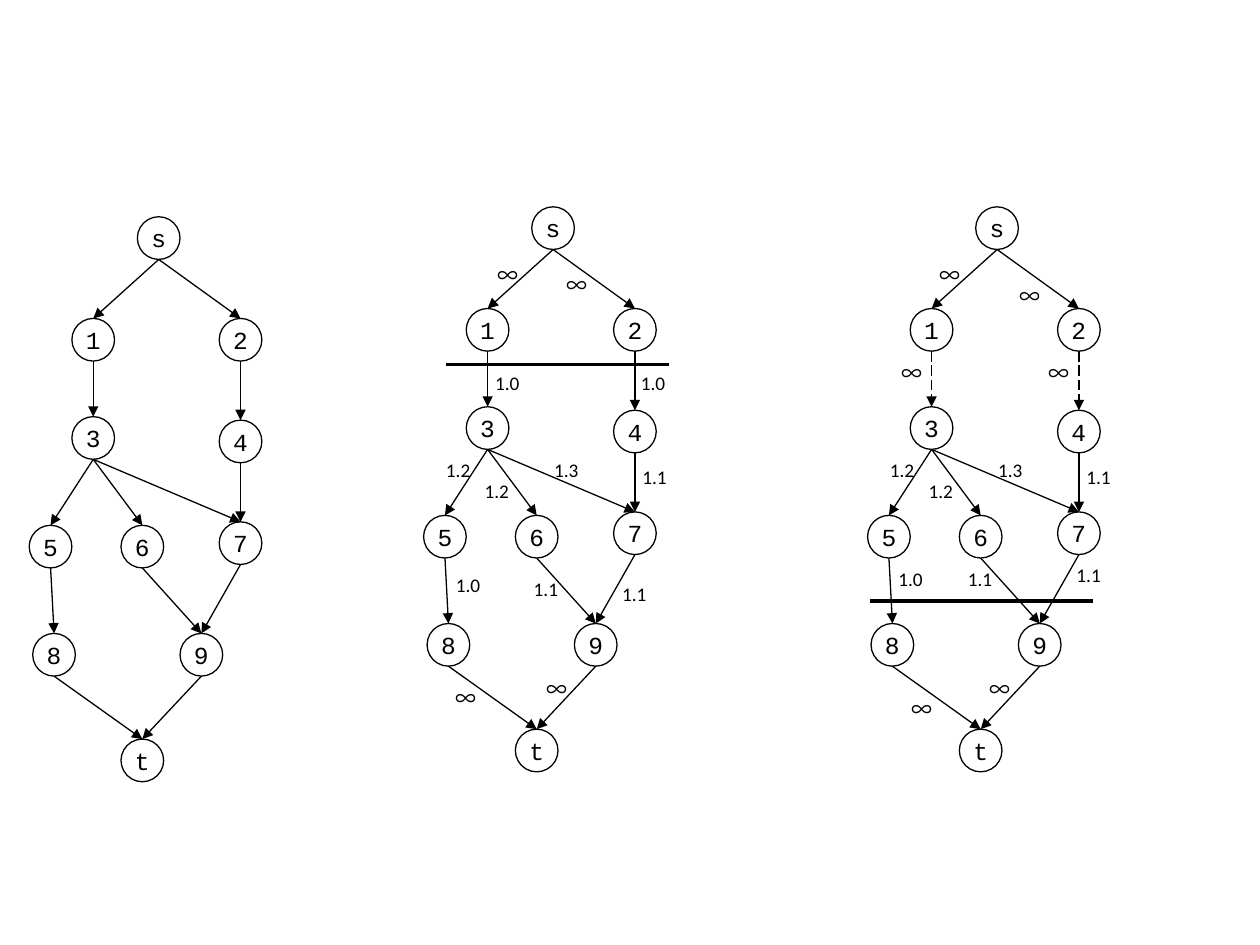
from dataclasses import dataclass

from pptx import Presentation, util as u
from pptx.dml.color import RGBColor
from pptx.enum import dml, shapes, text
from pptx.oxml.ns import qn

INK = "000000"
SIZE = 0.86  # node diameter, cm

# Node places: centre x and top y in cm, measured from node s
NODES = {
    "s": (0, 0),
    "1": (-1.32, 2.05), "2": (1.65, 2.05),
    "3": (-1.32, 4.03), "4": (1.65, 4.1),
    "5": (-2.18, 6.22), "6": (-0.33, 6.22), "7": (1.65, 6.15),
    "8": (-2.11, 8.4), "9": (0.86, 8.4),
    "t": (-0.33, 10.53),
}
EDGES = "s1 s2 13 24 35 36 37 47 58 69 79 8t 9t".split()


@dataclass
class Label:
    text: str
    x: float
    y: float


@dataclass
class Cut:
    x: float
    y: float
    width: float = 4.5


@dataclass
class Graph:
    x: float
    y: float
    labels: tuple = ()
    cut: Cut | None = None
    dashed: tuple = ()


# Weights that both cut graphs share
SHARED = (
    Label("1.1", 1.55, 5.08), Label("1.2", -2.41, 4.95),
    Label("1.2", -1.63, 5.36), Label("1.3", -0.23, 4.95),
)
GRAPHS = (
    Graph(3.2, 4.37),
    Graph(11.15, 4.17, SHARED + (
        Label("1.0", -1.42, 3.18), Label("1.0", 1.52, 3.18),
        Label("1.1", 1.14, 7.44), Label("1.1", -0.64, 7.34),
        Label("1.0", -2.21, 7.26),
        Label("∞", -1.37, 0.99), Label("∞", 0.03, 1.19),
        Label("∞", -2.21, 9.53), Label("∞", -0.38, 9.35),
    ), Cut(-2.16, 3.18)),
    Graph(20.1, 4.17, SHARED + (
        Label("1.1", 1.35, 7.06), Label("1.1", -0.84, 7.14),
        Label("1.0", -2.24, 7.14),
        Label("∞", -2.18, 2.97), Label("∞", 0.79, 2.97),
        Label("∞", -1.4, 0.99), Label("∞", 0.2, 1.42),
        Label("∞", -1.98, 9.75), Label("∞", -0.41, 9.35),
    ), Cut(-2.57, 7.95), ("13", "24")),
)


def paint(color, value: str) -> None:
    color.rgb = RGBColor.from_string(value)


def write(shape, words: str, font: str, size: float) -> None:
    frame = shape.text_frame
    frame.text = words
    frame.word_wrap = False
    run = frame.paragraphs[0].runs[0]
    run.font.name = font
    run.font.size = u.Pt(size)
    paint(run.font.color, INK)
    # The infinity sign can be drawn with the East Asian font
    east = run.font._element.makeelement(qn("a:ea"), {"typeface": font})
    run.font._element.append(east)


def draw_line(slide, x1: float, y1: float, x2: float, y2: float, width: float):
    line = slide.shapes.add_connector(
        shapes.MSO_CONNECTOR.STRAIGHT, u.Cm(x1), u.Cm(y1), u.Cm(x2), u.Cm(y2))
    line.line.width = u.Pt(width)
    paint(line.line.color, INK)
    props = line._element.spPr
    props.append(props.makeelement(qn("a:effectLst"), {}))
    return line


def draw_edge(slide, graph: Graph, edge: str) -> None:
    (x1, y1), (x2, y2) = (NODES[name] for name in edge)
    arrow = draw_line(slide, graph.x + x1, graph.y + y1 + SIZE,
                      graph.x + x2, graph.y + y2, 0.75)
    if edge in graph.dashed:
        arrow.line.dash_style = dml.MSO_LINE.LONG_DASH
    ln = arrow.line._get_or_add_ln()
    ln.append(ln.makeelement(qn("a:tailEnd"), {"type": "triangle"}))


def draw_node(slide, graph: Graph, name: str) -> None:
    x, y = NODES[name]
    node = slide.shapes.add_shape(
        shapes.MSO_SHAPE.OVAL, u.Cm(graph.x + x - SIZE / 2),
        u.Cm(graph.y + y), u.Cm(SIZE), u.Cm(SIZE))
    node.shadow.inherit = False
    node.fill.background()
    node.line.width = u.Pt(0.75)
    paint(node.line.color, INK)
    write(node, name, "Courier New", 14)
    node.text_frame.vertical_anchor = text.MSO_ANCHOR.MIDDLE
    node.text_frame.paragraphs[0].alignment = text.PP_ALIGN.CENTER


def draw_label(slide, graph: Graph, label: Label) -> None:
    endless = label.text == "∞"
    width, height = (0.94, 0.76) if endless else (1.02, 0.74)
    box = slide.shapes.add_textbox(
        u.Cm(graph.x + label.x), u.Cm(graph.y + label.y),
        u.Cm(width), u.Cm(height))
    font, size = ("Noto Sans CJK JP", 12) if endless else ("Calibri", 11)
    write(box, label.text, font, size)
    box.text_frame.auto_size = text.MSO_AUTO_SIZE.SHAPE_TO_FIT_TEXT


def draw_graph(slide, graph: Graph) -> None:
    for edge in EDGES:
        draw_edge(slide, graph, edge)
    for name in NODES:
        draw_node(slide, graph, name)
    for label in graph.labels:
        draw_label(slide, graph, label)
    if graph.cut:
        x, y = graph.x + graph.cut.x, graph.y + graph.cut.y
        draw_line(slide, x, y, x + graph.cut.width, y, 2)


def main() -> None:
    deck = Presentation()
    deck.slide_width, deck.slide_height = u.Cm(25.4), u.Cm(19.05)
    slide = deck.slides.add_slide(deck.slide_layouts[6])
    for graph in GRAPHS:
        draw_graph(slide, graph)
    deck.save("out.pptx")


if __name__ == "__main__":
    main()
